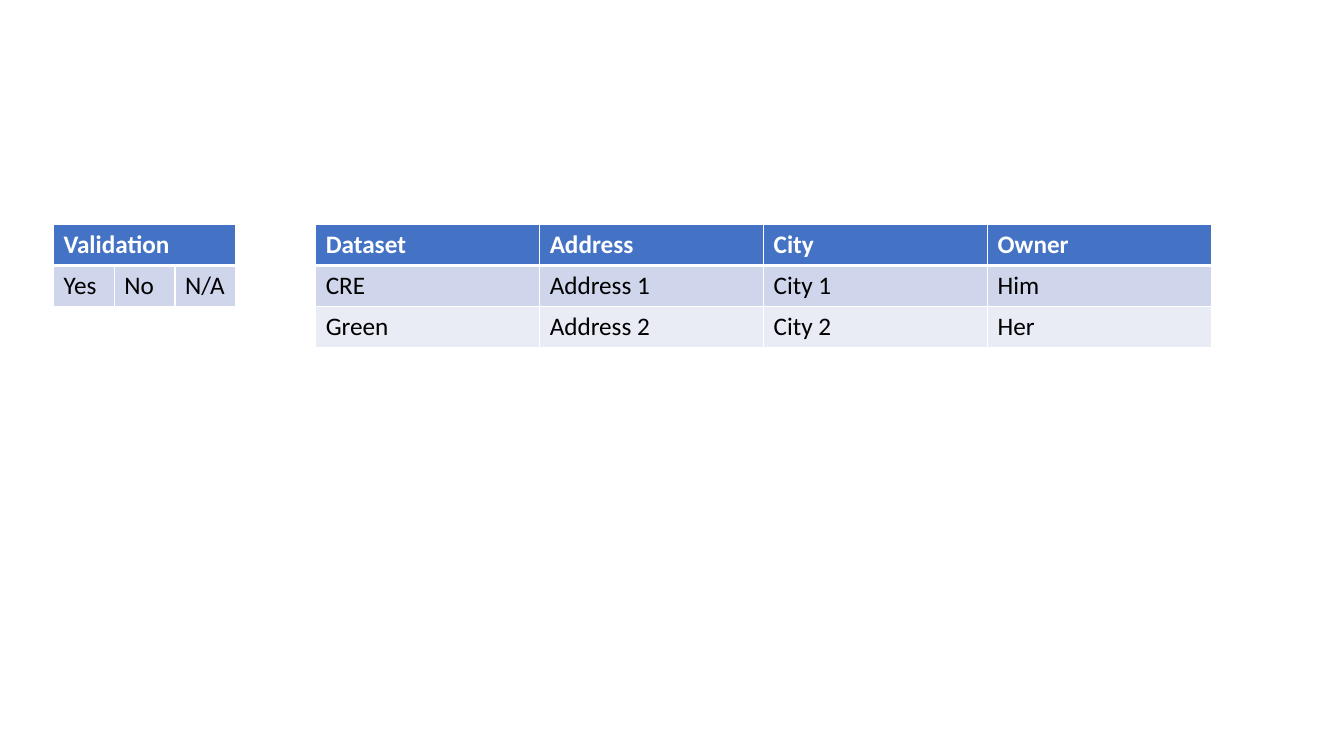
from lxml.etree import SubElement
from pptx import Presentation
from pptx.dml.color import RGBColor
from pptx.oxml.ns import qn
from pptx.util import Pt

FONT = "Calibri"
HEADER, BANDS = "4472C4", ("CFD5EA", "E9EBF5")
WHITE, BLACK = "FFFFFF", "000000"
ROW_H = 29.2
TABLE_TOP = 160.5


def rgb(color):
    return RGBColor.from_string(color)


def set_borders(cell, **widths):
    """Draw white cell borders; widths in points are keyed L, R, T, B in that order."""
    tc_pr = cell._tc.get_or_add_tcPr()
    for side, width in widths.items():
        ln = SubElement(tc_pr, qn(f"a:ln{side}"), w=str(Pt(width)))
        fill = SubElement(ln, qn("a:solidFill"))
        SubElement(fill, qn("a:srgbClr"), val=WHITE)


def style_cell(cell, row):
    is_header = row == 0
    set_borders(cell, L=1, R=1, T=3 if row == 1 else 1, B=3 if is_header else 1)
    cell.fill.solid()
    cell.fill.fore_color.rgb = rgb(HEADER if is_header else BANDS[(row - 1) % 2])
    font = cell.text_frame.paragraphs[0].font
    font.name, font.size, font.bold = FONT, Pt(18), is_header
    font.color.rgb = rgb(WHITE if is_header else BLACK)


def add_banded_table(slide, left, top, width, rows):
    """Add a table of equal columns; a single header spans all of them."""
    n_cols = len(rows[-1])
    table = slide.shapes.add_table(len(rows), n_cols, Pt(left), Pt(top),
                                   Pt(width), Pt(ROW_H * len(rows))).table
    for col in table.columns:
        col.width = Pt(width / n_cols)
    for r, texts in enumerate(rows):
        table.rows[r].height = Pt(ROW_H)
        for c, text in enumerate(texts):
            table.cell(r, c).text = text
        for c in range(n_cols):
            style_cell(table.cell(r, c), r)
    if len(rows[0]) == 1:
        table.cell(0, 0).merge(table.cell(0, n_cols - 1))


def main():
    prs = Presentation()
    prs.slide_width, prs.slide_height = Pt(960), Pt(540)
    slide = prs.slides.add_slide(prs.slide_layouts[6])
    add_banded_table(slide, 225.5, TABLE_TOP, 640, [
        ["Dataset", "Address", "City", "Owner"],
        ["CRE", "Address 1", "City 1", "Him"],
        ["Green", "Address 2", "City 2", "Her"],
    ])
    add_banded_table(slide, 38.2, TABLE_TOP, 130.2, [
        ["Validation"],
        ["Yes", "No", "N/A"],
    ])
    prs.save("out.pptx")


if __name__ == "__main__":
    main()
